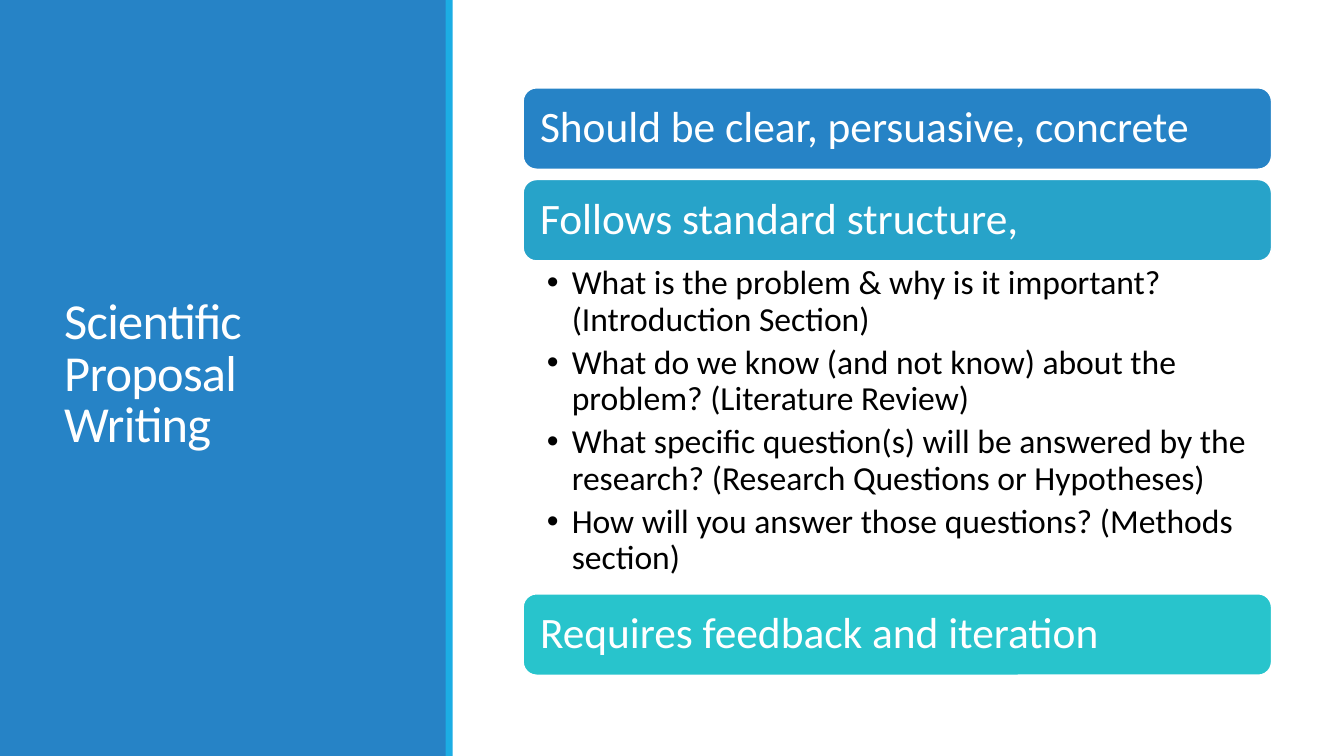
"""Build the slide on scientific proposal writing."""
from lxml.etree import SubElement as Sub
from pptx import Presentation
from pptx.dml.color import RGBColor as RGB
from pptx.enum.shapes import MSO_SHAPE as Kind
from pptx.enum.text import MSO_ANCHOR as Anchor, PP_ALIGN as Align
from pptx.oxml.ns import qn
from pptx.util import Cm, Pt


def paint(kind, left, top, wide, high, color):
    item = slide.shapes.add_shape(kind, Cm(left), Cm(top), Cm(wide), Cm(high))
    item.shadow.inherit = False
    item.fill.solid()
    item.fill.fore_color.rgb = RGB.from_string(color)
    item.line.fill.background()
    return item


def style(para, size, color, space):
    para.alignment = Align.LEFT
    para.line_spacing = space
    for run in para.runs:
        run.font.name = "Calibri"
        run.font.size = Pt(size)
        run.font.color.rgb = RGB.from_string(color)


deck = Presentation()
deck.slide_width, deck.slide_height = Cm(33.87), Cm(19.05)
slide = deck.slides.add_slide(deck.slide_layouts[6])

paint(Kind.RECTANGLE, 0, 0, 11.25, 19.05, "2683C6")
paint(Kind.RECTANGLE, 11.23, 0, 0.18, 19.05, "1CADE4")

title = slide.shapes.add_textbox(Cm(1.37), Cm(1.45), Cm(8.56), Cm(16.03))
frame = title.text_frame
frame.word_wrap = True
frame.vertical_anchor = Anchor.MIDDLE
frame.text = "Scientific Proposal Writing"
style(frame.paragraphs[0], 36, "FFFFFF", 0.85)
frame.paragraphs[0].runs[0].font._element.set("spc", "-50")

left, wide = 13.18, 18.87
bars = [
    (2.21, "2683C6", "Should be clear, persuasive, concrete"),
    (4.52, "27A3C9", "Follows standard structure,"),
    (14.96, "28C4CC", "Requires feedback and iteration"),
]
for top, color, text in bars:
    bar = paint(Kind.ROUNDED_RECTANGLE, left, top, wide, 2.06, color)
    bar.line.color.rgb = RGB.from_string("FFFFFF")
    bar.line.width = Pt(1.25)
    frame = bar.text_frame
    frame.word_wrap = True
    frame.vertical_anchor = Anchor.MIDDLE
    frame.margin_left = frame.margin_right = Cm(0.33)
    frame.margin_top = frame.margin_bottom = Cm(0.33)
    frame.text = text
    style(frame.paragraphs[0], 31, "FFFFFF", 0.9)

points = [
    "What is the problem & why is it important? (Introduction Section)",
    "What do we know (and not know) about the problem? (Literature Review)",
    "What specific question(s) will be answered by the research? "
    "(Research Questions or Hypotheses)",
    "How will you answer those questions? (Methods section)",
]
body = slide.shapes.add_textbox(Cm(left), Cm(6.6), Cm(wide), Cm(8.38))
frame = body.text_frame
frame.word_wrap = True
frame.margin_left = frame.margin_right = Cm(0.6)
frame.margin_top = frame.margin_bottom = Cm(0.1)
frame.text = "\n".join(points)
for para in frame.paragraphs:
    style(para, 24, "000000", 0.9)
    para.space_after = Pt(5)
    props = para._p.get_or_add_pPr()
    props.set("marL", str(Cm(0.63)))
    props.set("indent", str(Cm(-0.63)))
    Sub(props, qn("a:buFont"), typeface="Arial")
    Sub(props, qn("a:buChar"), char="•")

deck.save("out.pptx")
